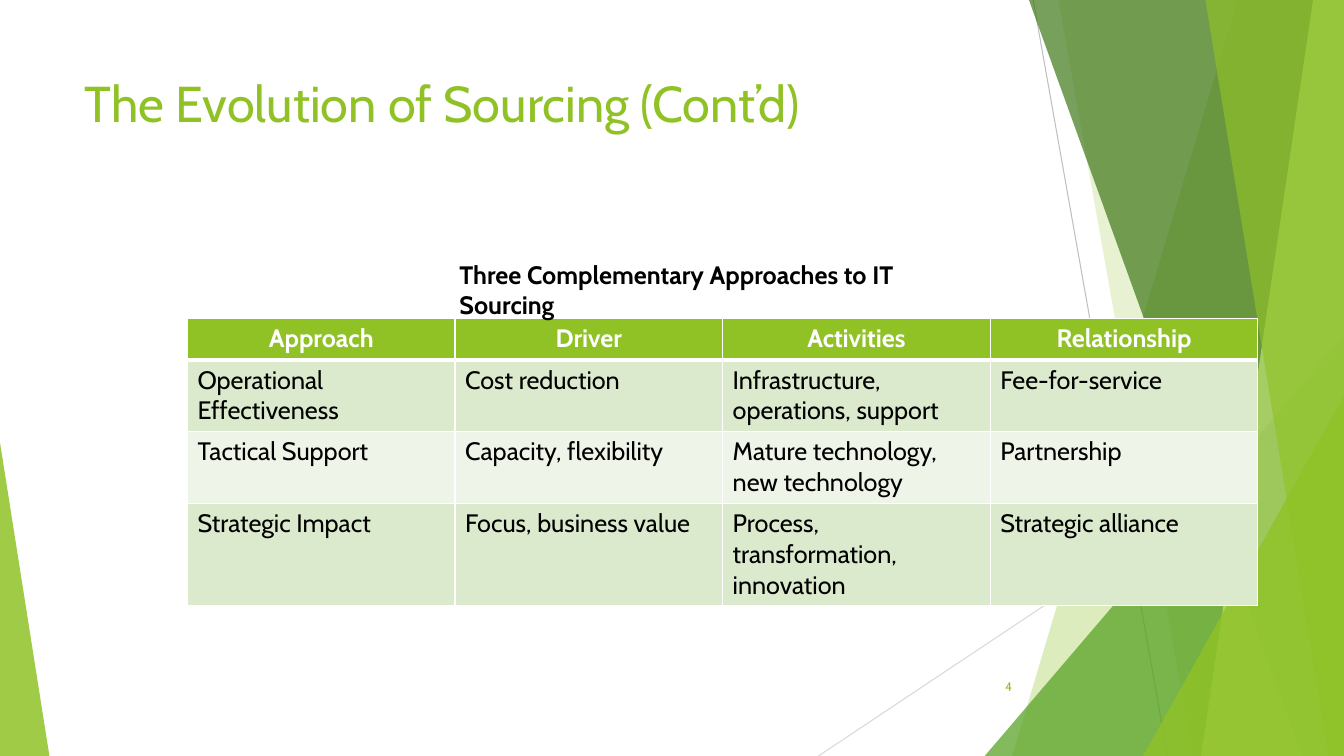
from lxml import etree
from pptx import Presentation
from pptx.dml.color import RGBColor
from pptx.enum.shapes import MSO_CONNECTOR as Connector, MSO_SHAPE as Shape
from pptx.enum.text import MSO_ANCHOR as Anchor, PP_ALIGN as Align
from pptx.oxml.ns import qn
from pptx.util import Pt

# Content
TITLE = "The Evolution of Sourcing (Cont’d)"
CAPTION = "Three Complementary Approaches to IT Sourcing"
PAGE_NUMBER = "4"
ROWS = [
    ("Approach", "Driver", "Activities", "Relationship"),
    ("Operational Effectiveness", "Cost reduction",
     "Infrastructure, operations, support", "Fee-for-service"),
    ("Tactical Support", "Capacity, flexibility",
     "Mature technology, new technology", "Partnership"),
    ("Strategic Impact", "Focus, business value",
     "Process, transformation, innovation", "Strategic alliance"),
]

# Style and geometry, in points
FONT = "Cabin"
COLORS = {
    "green": "90C226", "leaf": "54A021", "forest": "3F7819", "lime": "C0E474",
    "white": "FFFFFF", "black": "000000", "gray": "BFBFBF", "silver": "D9D9D9",
    "band": "DBE9CD", "pale": "EEF4E8",
}
WIDTH, HEIGHT = 960, 540
TABLE_LEFT, TABLE_TOP, COLUMN_WIDTH = 133.9, 227.5, 191.15
ROW_HEIGHTS = (29.5, 51.2, 51.2, 72.8)
RAYS = [  # from, to, color
    ((738, 0), (834, HEIGHT), "gray"),
    ((WIDTH, 290), (584.6, HEIGHT), "silver"),
]
FACETS = [  # bands: top x, bottom x; triangles: left, top, width, apex
    ("band", (884.2, 722.9), "green", 30),
    ("band", (756, 851.8), "green", 20),
    ("triangle", (703.4, 239.8, 256.6, 1), "leaf", 72),
    ("band", (735.1, 929.5), "forest", 70),
    ("band", (938.2, 858.2), "lime", 70),
    ("band", (861.1, 949), "green", 65),
    ("triangle", (816.5, 283, 143.5, 1), "green", 80),
    ("triangle", (0, 316.1, 35.3, 0), "green", 85),
]


def rgb(name):
    return RGBColor.from_string(COLORS[name])


def write(frame, text, size=18, color="black", bold=False,
          align=Align.LEFT, anchor=Anchor.TOP):
    frame.word_wrap = True
    frame.vertical_anchor = anchor
    para = frame.paragraphs[0]
    para.alignment = align
    span = para.add_run()
    span.text = text
    span.font.name, span.font.size, span.font.bold = FONT, Pt(size), bold
    span.font.color.rgb = rgb(color)


def add_text(page, text, left, top, width, height, **style):
    box = page.shapes.add_textbox(Pt(left), Pt(top), Pt(width), Pt(height))
    write(box.text_frame, text, **style)


def add_ray(page, start, end, color):
    line = page.shapes.add_connector(
        Connector.STRAIGHT, *(Pt(value) for value in start + end))
    line.line.color.rgb = rgb(color)
    line.line.width = Pt(0.75)
    etree.SubElement(line._element.spPr, qn("a:effectLst"))


def add_facet(page, kind, geometry, color, opacity):
    if kind == "band":
        top_x, bottom_x = geometry
        builder = page.shapes.build_freeform(top_x, 0, scale=Pt(1))
        builder.add_line_segments(
            [(WIDTH, 0), (WIDTH, HEIGHT), (bottom_x, HEIGHT)], close=True)
        facet = builder.convert_to_shape()
    else:
        left, top, width, apex = geometry
        facet = page.shapes.add_shape(
            Shape.ISOSCELES_TRIANGLE, Pt(left), Pt(top), Pt(width), Pt(HEIGHT - top))
        facet.adjustments[0] = apex
    facet.shadow.inherit = False
    facet.line.fill.background()
    facet.fill.solid()
    facet.fill.fore_color.rgb = rgb(color)
    tint = facet._element.spPr.find(".//" + qn("a:srgbClr"))
    etree.SubElement(tint, qn("a:alpha"), val=str(opacity * 1000))


def set_borders(cell, bottom):
    properties = cell._tc.get_or_add_tcPr()
    widths = {"a:lnL": 1, "a:lnR": 1, "a:lnT": 1, "a:lnB": bottom}
    for position, (side, width) in enumerate(widths.items()):
        border = etree.Element(qn(side), w=str(Pt(width)))
        fill = etree.SubElement(border, qn("a:solidFill"))
        etree.SubElement(fill, qn("a:srgbClr"), val=COLORS["white"])
        properties.insert(position, border)


def add_approaches(page):
    table = page.shapes.add_table(
        len(ROWS), len(ROWS[0]), Pt(TABLE_LEFT), Pt(TABLE_TOP),
        Pt(COLUMN_WIDTH * len(ROWS[0])), Pt(sum(ROW_HEIGHTS))).table
    for column in table.columns:
        column.width = Pt(COLUMN_WIDTH)
    for r, (texts, height) in enumerate(zip(ROWS, ROW_HEIGHTS)):
        table.rows[r].height = Pt(height)
        header = r == 0
        fill = "green" if header else ("band" if r % 2 else "pale")
        for c, text in enumerate(texts):
            cell = table.cell(r, c)
            cell.fill.solid()
            cell.fill.fore_color.rgb = rgb(fill)
            set_borders(cell, bottom=3 if header else 1)
            write(cell.text_frame, text, bold=header,
                  color="white" if header else "black",
                  align=Align.CENTER if header else Align.LEFT)


deck = Presentation()
deck.slide_width, deck.slide_height = Pt(WIDTH), Pt(HEIGHT)
page = deck.slides.add_slide(deck.slide_layouts[5])

# Background facets
for ray in RAYS:
    add_ray(page, *ray)
for facet in FACETS:
    add_facet(page, *facet)

# Title
title = page.shapes.title
title.left, title.top, title.width, title.height = Pt(53.3), Pt(48), Pt(676.8), Pt(104)
write(title.text_frame, TITLE, size=36, color="green")

# Table, page number and caption
add_approaches(page)
add_text(page, PAGE_NUMBER, 676, 476, 54, 28.8, size=9, color="green",
         align=Align.RIGHT, anchor=Anchor.MIDDLE)
add_text(page, CAPTION, 321.1, 181.4, 386.6, 29, bold=True)

deck.save("out.pptx")
